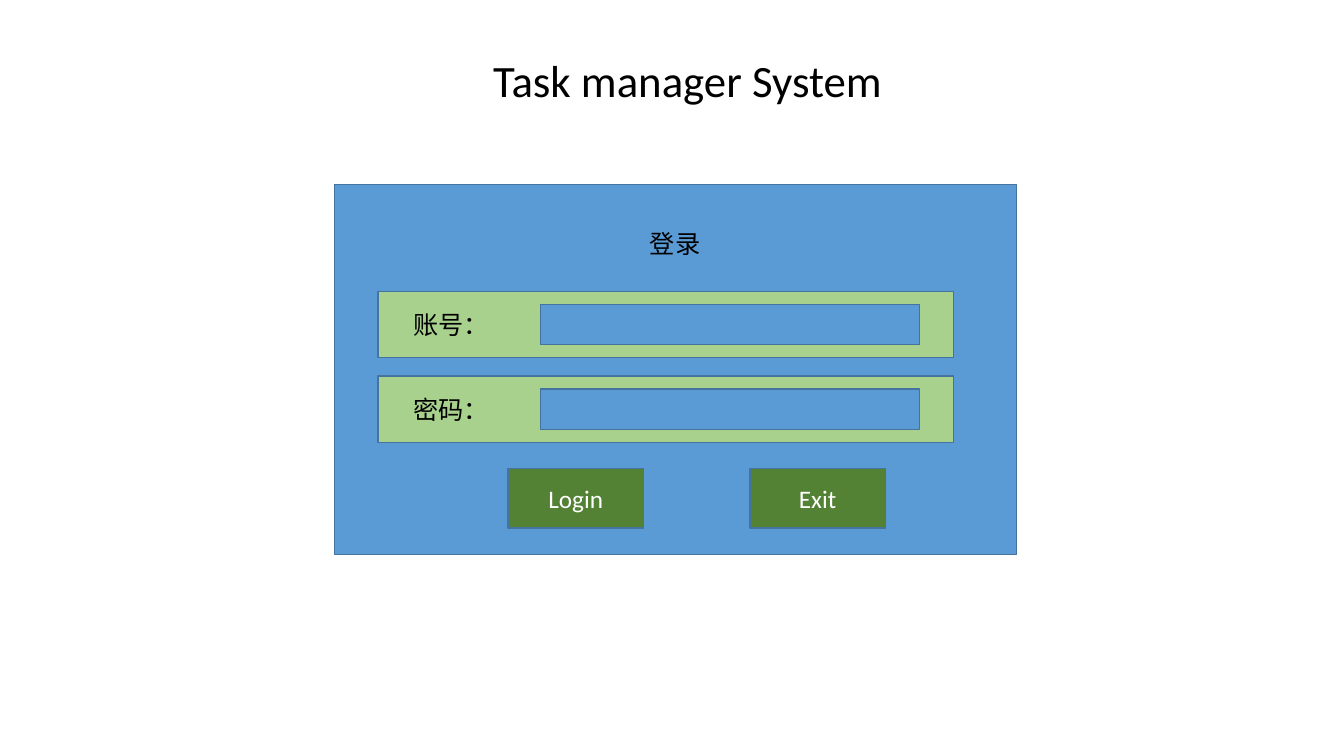
from dataclasses import dataclass

from pptx import Presentation
from pptx.dml.color import RGBColor
from pptx.enum.shapes import MSO_SHAPE
from pptx.enum.text import MSO_ANCHOR, PP_ALIGN
from pptx.shapes.autoshape import Shape
from pptx.shapes.shapetree import GroupShapes, SlideShapes
from pptx.util import Inches, Pt

RECTANGLE = MSO_SHAPE.RECTANGLE
LEFT, CENTER = PP_ALIGN.LEFT, PP_ALIGN.CENTER
TOP, MIDDLE = MSO_ANCHOR.TOP, MSO_ANCHOR.MIDDLE

COLORS = {
    "panel": "5B9BD5",
    "outline": "43739E",
    "field": "A9D18E",
    "button": "548235",
    "dark": "000000",
    "light": "FFFFFF",
}


@dataclass(frozen=True)
class Box:
    """Position and size in inches."""

    left: float
    top: float
    width: float
    height: float

    def lengths(self) -> tuple[Inches, Inches, Inches, Inches]:
        """Return the box as slide lengths."""
        return (Inches(self.left), Inches(self.top),
                Inches(self.width), Inches(self.height))


@dataclass(frozen=True)
class Field:
    """Labelled input row of the login form."""

    label: str
    top: float


@dataclass(frozen=True)
class Button:
    """Push button of the login form."""

    label: str
    left: float


PANEL = Box(3.32, 1.83, 6.76, 3.67)
FIELDS = [Field("账号：", 2.89), Field("密码：", 3.73)]
BUTTONS = [Button("Login", 5.04), Button("Exit", 7.44)]


def color(name: str) -> RGBColor:
    """Look up a named colour."""
    return RGBColor.from_string(COLORS[name])


def set_text(s: Shape, text: str, *, size: int = 18, ink: str = "dark",
             align: PP_ALIGN = LEFT, anchor: MSO_ANCHOR = TOP) -> None:
    """Write one formatted paragraph into a shape."""
    tf = s.text_frame
    tf.word_wrap = True
    tf.vertical_anchor = anchor
    p = tf.paragraphs[0]
    p.alignment = align
    r = p.add_run()
    r.text = text
    r.font.name = "Calibri"
    r.font.size = Pt(size)
    r.font.color.rgb = color(ink)


def add_rect(shapes: SlideShapes | GroupShapes, box: Box, fill: str) -> Shape:
    """Add a filled, outlined rectangle."""
    s = shapes.add_shape(RECTANGLE, *box.lengths())
    s.shadow.inherit = False
    s.fill.solid()
    s.fill.fore_color.rgb = color(fill)
    s.line.color.rgb = color("outline")
    s.line.width = Pt(1)
    return s


def add_field(shapes: SlideShapes, field: Field) -> None:
    """Add a grouped label and input row."""
    row = shapes.add_group_shape().shapes
    inner_top = field.top + 0.13
    add_rect(row, Box(3.75, field.top, 5.71, 0.66), "field")
    label = row.add_textbox(*Box(4, inner_top, 1.25, 0.4).lengths())
    set_text(label, field.label)
    add_rect(row, Box(5.36, inner_top, 3.76, 0.4), "panel")


def add_button(shapes: SlideShapes, button: Button) -> None:
    """Add a button with a centred caption."""
    s = add_rect(shapes, Box(button.left, 4.65, 1.34, 0.59), "button")
    set_text(s, button.label, ink="light", align=CENTER, anchor=MIDDLE)


def main() -> None:
    """Build the login form slide."""
    prs = Presentation()
    prs.slide_width, prs.slide_height = Inches(13.33), Inches(7.5)
    shapes = prs.slides.add_slide(prs.slide_layouts[5]).shapes

    title = shapes.title
    title.left, title.top, title.width, title.height = Box(2.88, 0.47, 7.88, 0.64).lengths()
    set_text(title, "Task manager System", size=32, align=CENTER)

    add_rect(shapes, PANEL, "panel")
    heading = shapes.add_textbox(*Box(5.04, 2.22, 3.31, 0.4).lengths())
    set_text(heading, "登录", align=CENTER)
    for field in FIELDS:
        add_field(shapes, field)
    for button in BUTTONS:
        add_button(shapes, button)

    prs.save("out.pptx")


if __name__ == "__main__":
    main()
